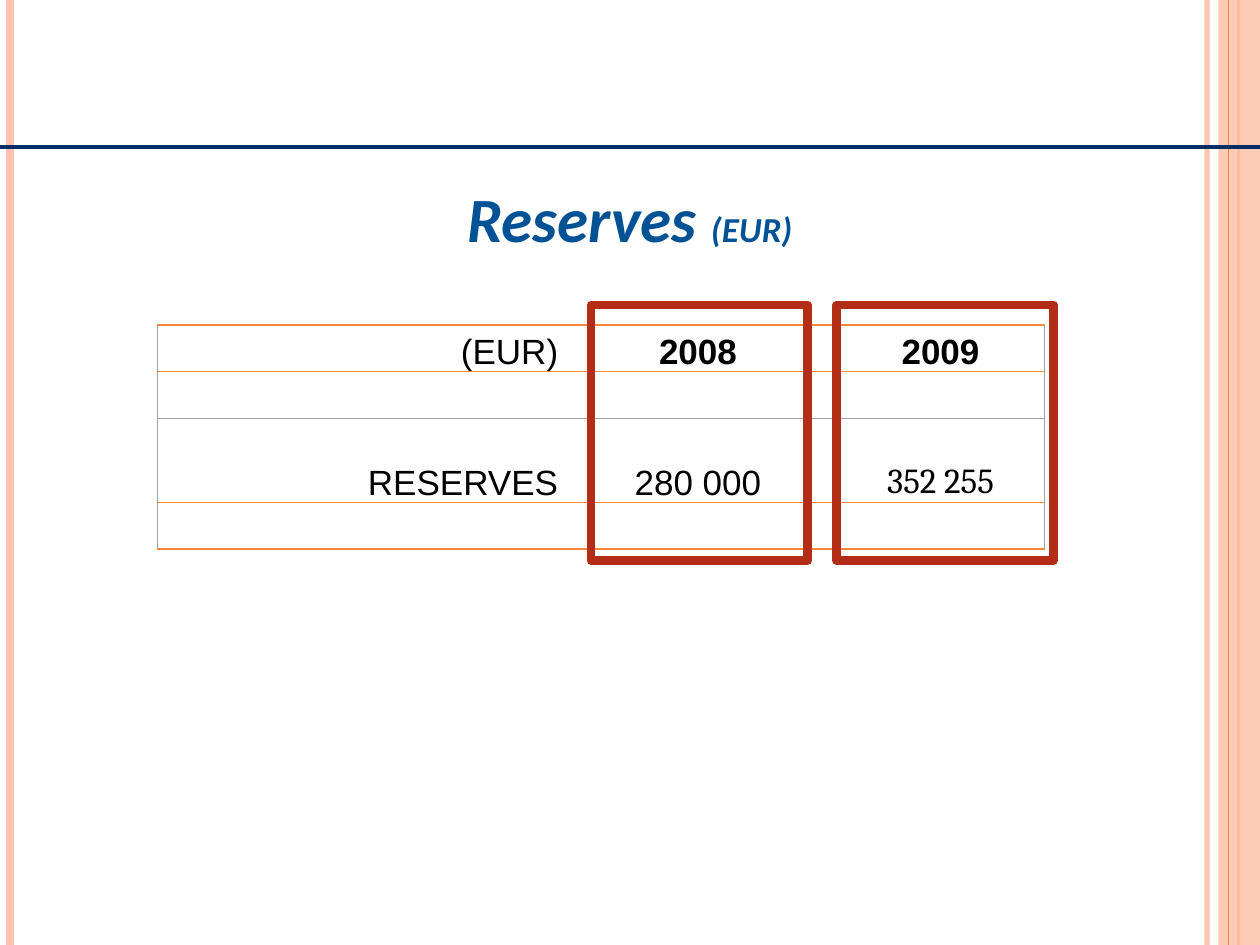
from lxml import etree
from pptx import Presentation
from pptx import util as u
from pptx.dml.color import RGBColor
from pptx.enum import shapes, text
from pptx.oxml import ns

COLORS = {
    "peach": "FEC3AE", "orange": "FE8637", "navy": "002F65", "blue": "005295",
    "red": "B32C16", "grey": "A0A0A0", "white": "FFFFFF", "black": "000000",
}
GRID_COLUMNS, GRID_ROWS = 100, 75
TITLE_ONLY = 5


def color(name):
    return RGBColor.from_string(COLORS[name])


def add_run(paragraph, words, font="Arial", size=20, fill="black", bold=False, italic=False):
    run = paragraph.add_run()
    run.text = words
    run.font.name, run.font.size = font, u.Pt(size)
    run.font.bold, run.font.italic = bold, italic
    run.font.color.rgb = color(fill)


def set_alpha(element, percent):
    for fill in element.iter(ns.qn("a:srgbClr")):
        etree.SubElement(fill, ns.qn("a:alpha"), val=str(percent * 1000))


def set_border(cell, side, border):
    properties = cell._tc.get_or_add_tcPr()
    line = etree.SubElement(properties, ns.qn(f"a:ln{side}"))
    if border is None:
        etree.SubElement(line, ns.qn("a:noFill"))
        return
    name, width = border
    line.set("w", str(u.Pt(width)))
    fill = etree.SubElement(line, ns.qn("a:solidFill"))
    etree.SubElement(fill, ns.qn("a:srgbClr"), val=COLORS[name])


class SlideBuilder:
    """Places elements on a slide by grid column and row."""

    def __init__(self, presentation):
        self.column = presentation.slide_width / GRID_COLUMNS
        self.row = presentation.slide_height / GRID_ROWS
        self.slide = presentation.slides.add_slide(presentation.slide_layouts[TITLE_ONLY])

    def box(self, left, top, width, height):
        return (int(left * self.column), int(top * self.row),
                int(width * self.column), int(height * self.row))

    def title(self, box, runs):
        title = self.slide.shapes.title
        title.left, title.top, title.width, title.height = self.box(*box)
        frame = title.text_frame
        frame.word_wrap = False
        frame.auto_size = text.MSO_AUTO_SIZE.NONE
        frame.vertical_anchor = text.MSO_ANCHOR.MIDDLE
        paragraph = frame.paragraphs[0]
        paragraph.alignment = text.PP_ALIGN.CENTER
        for words, size in runs:
            add_run(paragraph, words, font="Calibri", size=size, fill="blue", bold=True, italic=True)

    def line(self, start, end, name, width, alpha=100):
        connector = self.slide.shapes.add_connector(
            shapes.MSO_CONNECTOR.STRAIGHT, *self.box(*start, *end))
        connector.line.color.rgb = color(name)
        connector.line.width = u.Pt(width)
        properties = connector._element.spPr
        etree.SubElement(properties, ns.qn("a:effectLst"))
        if alpha < 100:
            set_alpha(properties, alpha)

    def rectangle(self, box, fill=None, alpha=100, outline=None, width=0):
        shape = self.slide.shapes.add_shape(shapes.MSO_SHAPE.RECTANGLE, *self.box(*box))
        shape.shadow.inherit = False
        if fill:
            shape.fill.solid()
            shape.fill.fore_color.rgb = color(fill)
            set_alpha(shape._element.spPr, alpha)
        else:
            shape.fill.background()
        if outline:
            shape.line.color.rgb = color(outline)
            shape.line.width = u.Pt(width)
            etree.SubElement(shape.line._get_or_add_ln(), ns.qn("a:round"))
        else:
            shape.line.fill.background()

    def table(self, left, top, widths, heights, cells, rules):
        table = self.slide.shapes.add_table(
            len(heights), len(widths), *self.box(left, top, sum(widths), sum(heights))).table
        table.first_row = table.horz_banding = False
        for column, width in zip(table.columns, widths):
            column.width = int(width * self.column)
        for row, height in zip(table.rows, heights):
            row.height = int(height * self.row)
        edge = ("grey", 0.5)
        last = len(widths) - 1
        for i in range(len(heights)):
            for j in range(len(widths)):
                cell = table.cell(i, j)
                borders = {"L": edge if j == 0 else None, "R": edge if j == last else None,
                           "T": rules[i], "B": rules[i + 1]}
                for side, border in borders.items():
                    set_border(cell, side, border)
                cell.fill.solid()
                cell.fill.fore_color.rgb = color("white")
                cell.margin_left = cell.margin_right = cell.margin_top = u.Inches(0.01)
                cell.margin_bottom = 0
                cell.vertical_anchor = text.MSO_ANCHOR.BOTTOM
                if (i, j) in cells:
                    words, style = cells[i, j]
                    paragraph = cell.text_frame.paragraphs[0]
                    paragraph.alignment = text.PP_ALIGN.CENTER if j else text.PP_ALIGN.RIGHT
                    add_run(paragraph, words, **style)


def main():
    presentation = Presentation()
    presentation.slide_width, presentation.slide_height = u.Inches(10), u.Inches(7.5)
    builder = SlideBuilder(presentation)

    # Side stripes
    def stripe(x, name, width, alpha=100):
        builder.line((x, 0), (x, GRID_ROWS), name, width, alpha)

    stripe(95.8, "peach", 3, 93)
    stripe(0.8, "peach", 4.5)
    stripe(98.3, "orange", 1.5)
    builder.rectangle((96.7, 0, 3.3, GRID_ROWS), fill="peach", alpha=87)
    stripe(97.5, "orange", 0.75)

    # Header rule and title
    builder.line((0, 11.7), (GRID_COLUMNS, 11.7), "navy", 2.25)
    builder.title((0, 13.9, GRID_COLUMNS, 6.7), [("Reserves ", 36), ("(EUR)", 20)])

    # Reserves table
    cells = {
        (0, 0): ("(EUR)", {}),
        (0, 1): ("2008", {"bold": True}),
        (0, 2): ("2009", {"bold": True}),
        (2, 0): ("RESERVES", {}),
        (2, 1): ("280 000", {}),
        (2, 2): ("352 255", {"font": "Cambria"}),
    }
    orange, grey = ("orange", 1), ("grey", 0.5)
    builder.table(12.5, 25.8, [31.9, 22, 16.5], [3.7, 3.7, 6.7, 3.7], cells,
                  rules=[orange, orange, grey, orange, orange])

    # Frames around the two years
    for left in (66.4, 46.9):
        builder.rectangle((left, 24.2, 17.2, 20.3), outline="red", width=5)

    presentation.save("out.pptx")


if __name__ == "__main__":
    main()
